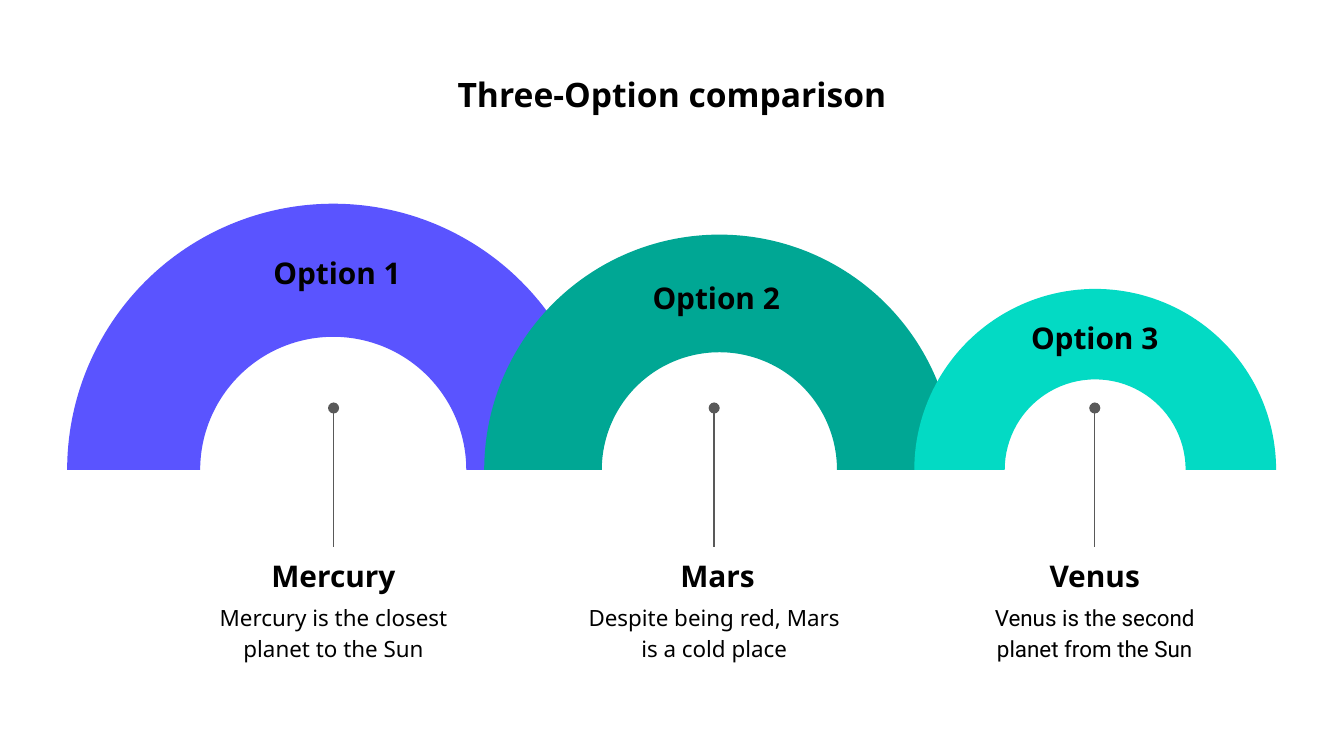
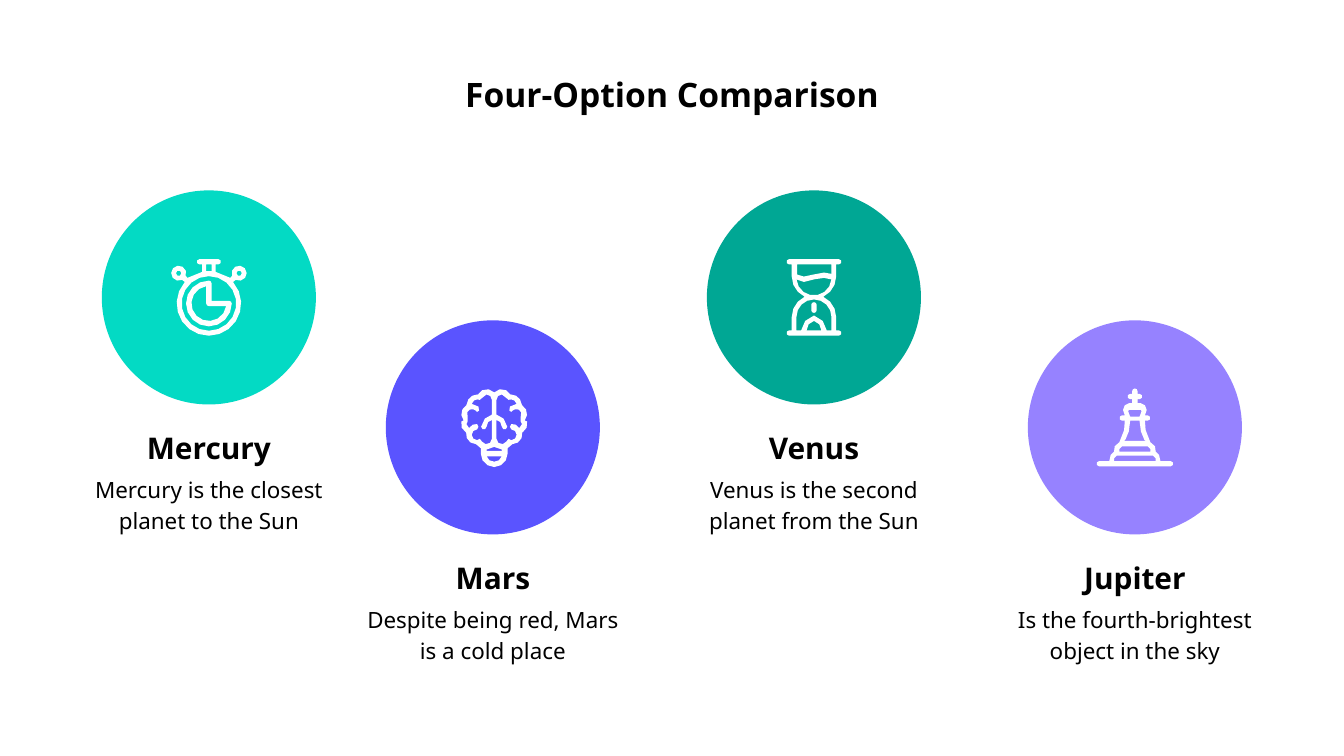
from math import cos, radians, sin, sqrt
from lxml import etree
from pptx import Presentation
from pptx.dml.color import RGBColor
from pptx.enum.shapes import MSO_CONNECTOR, MSO_SHAPE
from pptx.enum.text import MSO_ANCHOR, PP_ALIGN
from pptx.oxml.ns import qn
from pptx.util import Inches, Pt

ARC, DISC = MSO_SHAPE.BLOCK_ARC, MSO_SHAPE.OVAL
LINE = MSO_CONNECTOR.STRAIGHT
MID, TOP = MSO_ANCHOR.MIDDLE, MSO_ANCHOR.TOP
CENTER = PP_ALIGN.CENTER

HUES = {"ink": "000000", "stem": "595959", "blue": "5A54FF", "teal": "00A794",
        "aqua": "03DAC4", "lilac": "9682FF", "white": "FFFFFF"}
RGB = {name: RGBColor.from_string(hue) for name, hue in HUES.items()}
FONT = "Noto Sans"

deck = Presentation()
deck.slide_width = Inches(10)
deck.slide_height = deck.slide_width * 9 // 16
U = deck.slide_width // 100  # grid: 100 square columns across the slide

# Sizes shared by both slides, in grid units
HEAD_W, HEAD_H = 12.9, 4.2
BODY_W, BODY_H = 21.1, 8
DROP = 2.92  # from the top of a heading to the top of its body text


def write(slide, x, y, w, h, words, size, bold=False, anchor=TOP, font=FONT):
    box = slide.shapes.add_textbox(*(round(v * U) for v in (x, y, w, h)))
    frame = box.text_frame
    frame.word_wrap = True
    frame.vertical_anchor = anchor
    frame.margin_left = frame.margin_right = U
    frame.margin_top = frame.margin_bottom = U
    para = frame.paragraphs[0]
    para.alignment = CENTER
    para.line_spacing = 1 if bold else 1.15
    run = para.add_run()
    run.text = words
    run.font.name = font
    run.font.size = Pt(size)
    run.font.bold = bold
    run.font.color.rgb = RGB["ink"]


def draw(slide, x, y, rings):
    """Fill rings of points (x, y) and arcs (x, y, rx, ry, from, to).
    A "half" ring is closed by its mirror image, a "pair" is drawn twice."""
    loops = []
    for kind, steps in rings:
        dots = []
        for step in steps:
            if len(step) == 2:
                dots.append(step)
                continue
            cx, cy, rx, ry, a, b = step
            n = max(2, round(abs(b - a) * sqrt(rx) / 90))
            turns = [radians(a + (b - a) * i / n) for i in range(n + 1)]
            dots += [(cx + rx * cos(t), cy + ry * sin(t)) for t in turns]
        twin = [(-p, q) for p, q in reversed(dots)]
        if kind == "half":
            dots = dots + twin[1:-1]
        loops.append(dots)
        if kind == "pair":
            loops.append(twin)
    pen = None
    for dots in loops:
        dots = [(round((x + p / 10) * U), round((y + q / 10) * U)) for p, q in dots]
        if pen:
            pen.move_to(*dots[0])
        else:
            pen = slide.shapes.build_freeform(*dots[0])
        pen.add_line_segments(dots[1:], close=True)
    form = pen.convert_to_shape()
    form.shadow.inherit = False
    form.fill.solid()
    form.fill.fore_color.rgb = RGB["white"]
    form.line.fill.background()


# Both slides and their titles
pages = []
for title in ("Three-Option comparison", "Four-Option Comparison"):
    page = deck.slides.add_slide(deck.slide_layouts[6])
    write(page, 5, 4.5, 90, 5.3, title, 18, True)
    pages.append(page)
three, four = pages

# Slide 1: arches on a common base line
BASE = 34.96
arches = [
    (5, 39.6, "blue", 18.63, 17.95),
    (36.03, 35, "teal", 46.84, 19.8),
    (68.03, 26.92, "aqua", 75, 22.8),
]
for x, size, hue, *_ in arches:
    arch = three.shapes.add_shape(ARC, round(x * U), round((BASE - size / 2) * U),
                                  round(size * U), round(size * U))
    arch.shadow.inherit = False
    arch.fill.solid()
    arch.fill.fore_color.rgb = RGB[hue]
    arch.line.fill.background()
for i, (*_, x, y) in enumerate(arches, 1):
    write(three, x, y, HEAD_W, HEAD_H, f"Option {i}", 16, True)

# Slide 1: stems with planets below
planets = [
    (24.82, 18.36, "Mercury", "Mercury is the closest planet to the Sun", FONT),
    (53.14, 46.93, "Mars", "Despite being red, Mars is a cold place", FONT),
    (81.46, 75, "Venus", "Venus is the second planet from the Sun", "Roboto"),
]
for mid, left, name, words, font in planets:
    stem = three.shapes.add_connector(
        LINE, *(round(v * U) for v in (mid, 30.36, mid, 40.72)))
    stem.line.color.rgb = RGB["stem"]
    stem.line.width = Pt(0.75)
    props = stem.element.spPr
    etree.SubElement(props.find(qn("a:ln")), qn("a:headEnd"), type="oval")
    etree.SubElement(props, qn("a:effectLst"))
    write(three, mid - BODY_W / 2, 40.72 + DROP, BODY_W, BODY_H, words, 12, font=font)
    write(three, left, 40.72, HEAD_W, HEAD_H, name, 16, True, MID)

# Icons: rings around the middle of a disc, in tenths of a grid unit
watch = [
    ("half", [(0, -28.5), (-7, -26.5, 2, 2, -90, -270), (-5, -24.5), (-5, -19),
              (-16, -14.5), (-22.5, -18, 5.6, 5.6, 20, -297), (-18, -11.5),
              (0, 4.5, 24, 24, 221, 90)]),
    ("half", [(0, -24.5), (-2, -24.5), (-2, -19.5), (0, -19.5)]),
    ("half", [(0, 4.5, 20.3, 20.3, 270, 90)]),
    ("pair", [(-22.5, -18, 2, 2, 0, 360)]),
]
dial = [
    ("one", [(0, -10.5, 2, 2, -90, 0), (2, 2.5), (15, 4.5, 2, 2, -90, 0),
             (0, 4.5, 17, 17, 0, 270)]),
    ("one", [(-2, -8.5), (0, 4.5, 2, 2, 180, 90), (13, 6.5),
             (0, 4.5, 13, 13, 9, 261)]),
]
brain = [
    ("half", [(-5.5, -21, 7.5, 7.5, -42, -155), (-12.5, -16.5, 8, 8, -90, -175),
              (-17, -10, 7.5, 7.5, -120, -220), (-17.5, -2.5, 7.2, 7.2, 195, 120),
              (-13.5, 5, 7.5, 7.5, 190, 90), (-10, 15.5),
              (0, 19.5, 10, 10, 180, 90)]),
    ("pair", [(-5.7, -20.5, 4, 4, -90, 0), (-1.7, -9.5), (-7, -6.5), (-9.7, -0.5),
              (-7.7, -0.5, 2, 2, 180, 0), (-4.5, -4), (-1.7, -5.5),
              (-5.7, 8.5, 4, 4, 0, 150), (-10.7, 8.5),
              (-12.7, 5.5, 4, 4, 90, 270), (-11.7, -0.5), (-12.7, -2.5),
              (-16, -2), (-18.7, 0.5), (-20.7, -2.5), (-19.7, -4.5), (-19.7, -7.5),
              (-16.7, -10, 3.6, 3.6, 200, 290), (-13.7, -12.5), (-12.7, -11.5),
              (-11.3, -12.5), (-11.7, -15.5), (-16.7, -17.5), (-15, -20),
              (-12.7, -20.8), (-10.7, -20.5), (-9.5, -21.5)]),
    ("half", [(0, 14.5), (-5.7, 16.5), (-5.7, 17.5), (0, 17.5)]),
    ("half", [(0, 21.5), (-5.7, 21.5), (-3.5, 24.5), (0, 25.5)]),
]
glass = [
    ("half", [(0, -28.5), (-18.5, -26.5, 2, 2, -90, -270), (-16.5, -24.5),
              (0, -15.5, 16.5, 16.5, 180, 115), (0, 14.5, 16.5, 16.5, 245, 180),
              (-16.5, 24.5), (-18.5, 26.5, 2, 2, -90, -270), (0, 28.5)]),
    ("one", [(13, -24.5), (13, -17.5), (7.5, -18.5), (-0.5, -17), (-7.5, -15.5),
             (-12.5, -17), (-12.5, -24.5)]),
    ("one", [(7.5, -14.5), (0, -14.5, 13, 13, 5, 175), (-7.5, -11.5), (0.5, -13.5)]),
    ("half", [(0, 14.5, 13, 13, 270, 180), (-13, 24.5), (-9.5, 24.5),
              (-6.5, 17.5), (0, 13.5)]),
    ("half", [(0, 17.5), (-4, 20), (-5.5, 24.5), (0, 24.5)]),
]
grain = [("half", [(0, 5.5, 2, 2, -90, -180), (0, 9.5, 2, 2, 180, 90)])]
king = [
    ("half", [(0, -27, 2, 2, -90, -180), (-2, -25), (-3.5, -23, 2, 2, -90, -270),
              (-2, -21), (-2, -18), (-4.5, -18), (-7.5, -16.5), (-8.8, -13),
              (-7.5, -9), (-9.5, -7, 2, 2, -90, -270), (-7.5, -5), (-8, 2),
              (-11.5, 11), (-15, 14), (-15.5, 18), (-18, 20.5), (-19, 25),
              (-26.5, 27, 2, 2, -90, -270), (0, 29)]),
    ("half", [(0, -13), (-4.5, -13), (-5, -12), (-3.5, -8), (0, -8)]),
    ("half", [(0, -5), (-3.5, -5), (-4.5, 3), (-7, 9), (-8, 10), (0, 10)]),
    ("half", [(0, 14), (-9.5, 14), (-11.5, 16), (-11.5, 18), (0, 18)]),
    ("half", [(0, 21), (-13.5, 21), (-15.5, 23), (-15.5, 25), (0, 25)]),
]

# Slide 2: discs, high and low in turn
SIZE = 15.93
HIGH, LOW = 14.17, 23.84
options = [
    (28.71, LOW, "blue", [brain], "Mars", "Despite being red, Mars is a cold place"),
    (7.58, HIGH, "aqua", [watch, dial], "Mercury",
     "Mercury is the closest planet to the Sun"),
    (52.6, HIGH, "teal", [glass, grain], "Venus",
     "Venus is the second planet from the Sun"),
    (76.48, LOW, "lilac", [king], "Jupiter",
     "Is the fourth-brightest object in the sky"),
]
for x, y, hue, icon, name, words in options:
    disc = four.shapes.add_shape(DISC, *(round(v * U) for v in (x, y, SIZE, SIZE)))
    disc.shadow.inherit = False
    disc.fill.solid()
    disc.fill.fore_color.rgb = RGB[hue]
    disc.line.fill.background()
    mid, head = x + SIZE / 2, y + 17.02
    write(four, mid - BODY_W / 2, head + DROP, BODY_W, BODY_H, words, 12)
    write(four, mid - HEAD_W / 2, head, HEAD_W, HEAD_H, name, 16, True, MID)
    for rings in icon:
        draw(four, mid + (0.1 if icon[0] is brain else 0), y + SIZE / 2, rings)

deck.save("out.pptx")
